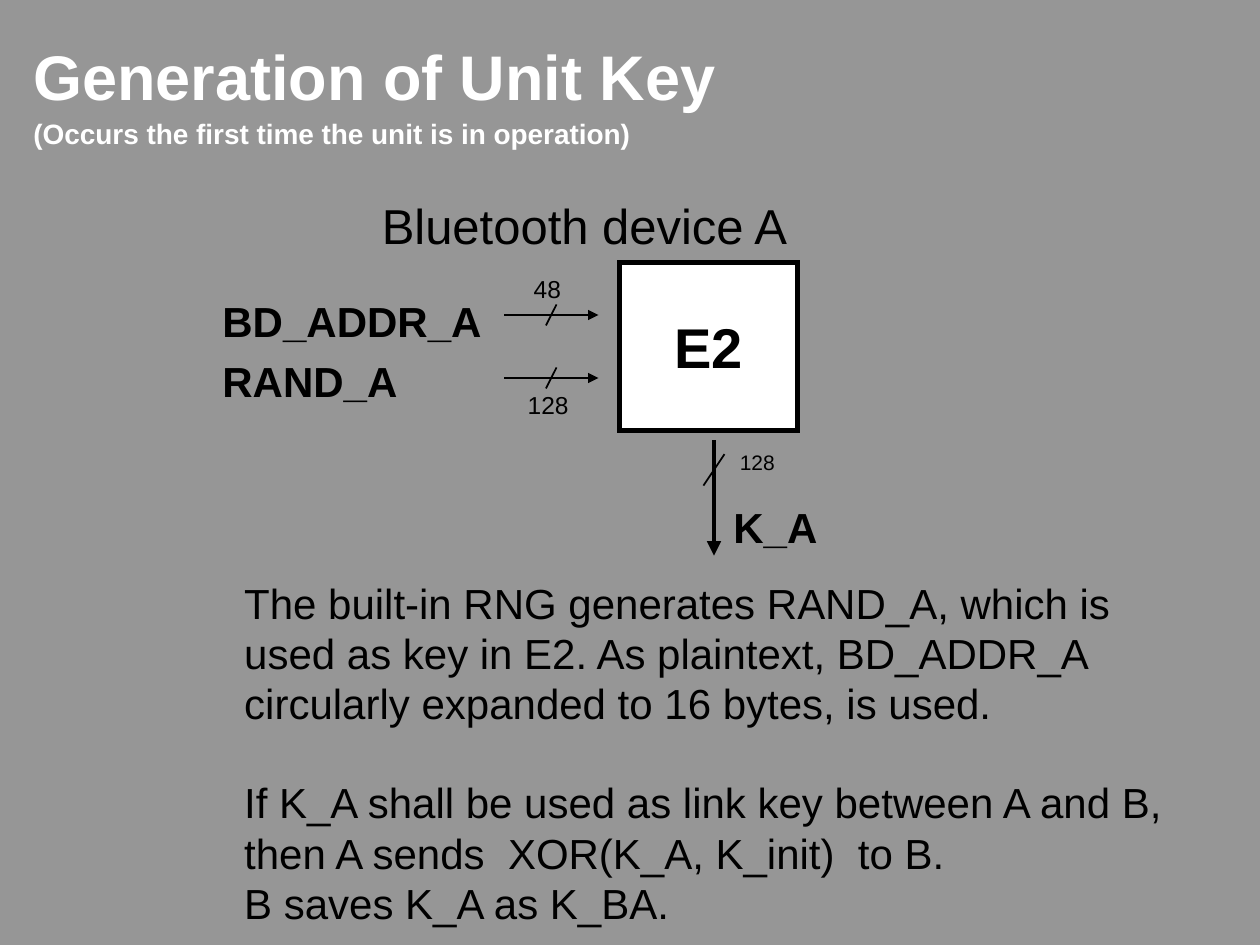
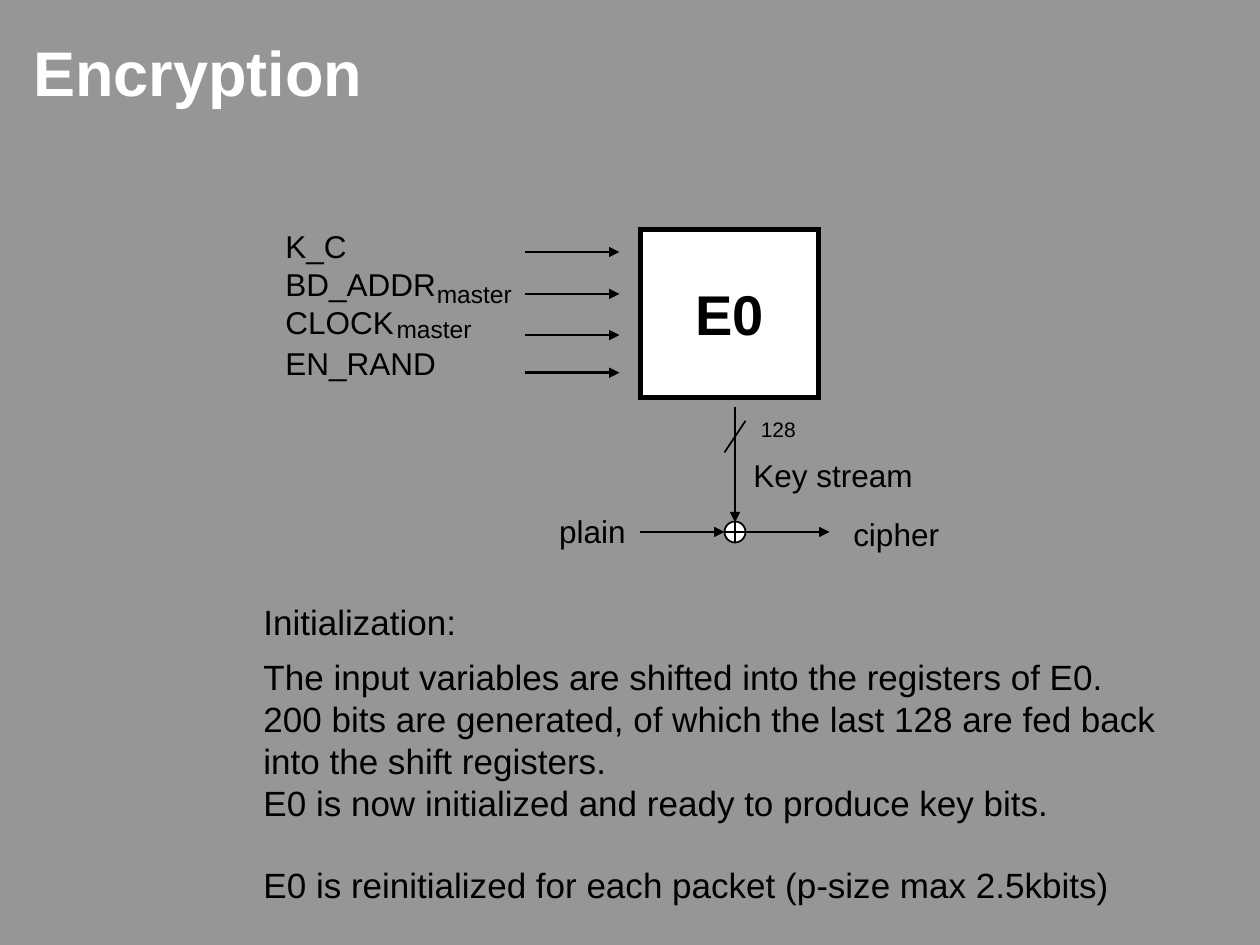
from lxml.etree import SubElement
from pptx import Presentation
from pptx.dml.color import RGBColor
from pptx.enum.shapes import MSO_CONNECTOR, MSO_SHAPE
from pptx.enum.text import MSO_ANCHOR, MSO_AUTO_SIZE, PP_ALIGN
from pptx.oxml.ns import qn
from pptx.util import Pt

GREY = RGBColor(0x96, 0x96, 0x96)
BLACK = RGBColor(0, 0, 0)
WHITE = RGBColor(0xFF, 0xFF, 0xFF)
FONT = "Arial"

# Paragraphs are (text, line spacing, space before in points).
UNIT_KEY_INPUTS = [("BD_ADDR_A", 1.4, 0), ("RAND_A", 1.2, 0)]
UNIT_KEY_NOTES = [
    ("The built-in RNG generates RAND_A, which is", 1, 0),
    ("used as key in E2. As plaintext, BD_ADDR_A", 1, 0),
    ("circularly expanded to 16 bytes, is used.", 1, 0),
    ("If K_A shall be used as link key between A and B,", 1, 27.6),
    ("then A sends  XOR(K_A, K_init)  to B.", 1, 0),
    ("B saves K_A as K_BA.", 1, 0),
]
ENCRYPTION_INPUTS = [("K_C", 1, 0), ("BD_ADDR", 1, 0), ("CLOCK", 1, 0), ("EN_RAND", 1.1, 0)]
ENCRYPTION_NOTES = [
    ("Initialization:", 1, 0),
    ("The input variables are shifted into the registers of E0.", 1.3, 0),
    ("200 bits are generated, of which the last 128 are fed back", 1, 0),
    ("into the shift registers.", 1, 0),
    ("E0 is now initialized and ready to produce key bits.", 1, 0),
    ("E0 is reinitialized for each packet (p-size max 2.5kbits)", 1, 23),
]

# Labels are (paragraphs, (left, top, width, height), size, bold, centred).
UNIT_KEY_LABELS = [
    (UNIT_KEY_INPUTS, (120, 153.5, 162, 82), 24, True, False),
    ("K_A", (412, 283, 62, 36), 24, True, False),
    ("Bluetooth device A", (210, 108, 248, 41), 28, False, True),
    ("48", (298, 152.5, 29.5, 24.5), 14, False, True),
    ("128", (294.5, 219, 37.5, 24.5), 14, False, True),
    (UNIT_KEY_NOTES, (132.5, 325.5, 543, 209), 24, False, False),
]
ENCRYPTION_LABELS = [
    (ENCRYPTION_INPUTS, (156, 126, 100, 96), 18, False, False),
    ("master", (242.5, 155.5, 57, 24.5), 14, False, False),
    ("master", (219.5, 175.5, 57, 24.5), 14, False, False),
    ("Key stream", (423.5, 257, 105, 29), 18, False, False),
    ("plain", (312.5, 289, 52.5, 29), 18, False, False),
    ("cipher", (480.5, 290.5, 63, 29), 18, False, False),
    (ENCRYPTION_NOTES, (143.5, 339, 524, 183), 20, False, False),
]

BLOCK_WIDTH, BLOCK_HEIGHT = 102, 96
INPUT_GAP, INPUT_LENGTH = 66, 54
OUTPUT_LENGTH = 66
ADDER_X, ADDER_Y, ADDER_SIZE = 420, 304, 12


def style(font, size, color=BLACK, bold=False):
    font.name = FONT
    font.size = Pt(size)
    font.bold = bold
    font.color.rgb = color


def new_slide(presentation, title, top, top_margin, subtitle=None):
    slide = presentation.slides.add_slide(presentation.slide_layouts[6])
    slide.background.fill.solid()
    slide.background.fill.fore_color.rgb = GREY
    frame = slide.shapes.add_textbox(Pt(12), Pt(top), Pt(594), Pt(53)).text_frame
    frame.word_wrap = True
    frame.margin_top = Pt(top_margin)
    paragraph = frame.paragraphs[0]
    paragraph.line_spacing = 1.1
    run = paragraph.add_run()
    run.text = title
    style(run.font, 36, WHITE, True)
    if subtitle:
        paragraph.add_line_break()
        run = paragraph.add_run()
        run.text = subtitle
        style(run.font, 16, WHITE, True)
    return slide


def add_label(slide, content, box, size, bold=False, centred=False):
    frame = slide.shapes.add_textbox(*map(Pt, box)).text_frame
    frame.word_wrap = True
    frame.auto_size = MSO_AUTO_SIZE.NONE
    frame.vertical_anchor = MSO_ANCHOR.MIDDLE
    frame.margin_right = 0
    if centred:
        frame.margin_left = 0
    paragraphs = [(content, 1, 0)] if isinstance(content, str) else content
    for index, (text, spacing, before) in enumerate(paragraphs):
        paragraph = frame.add_paragraph() if index else frame.paragraphs[0]
        paragraph.text = text
        paragraph.line_spacing = float(spacing)
        if before:
            paragraph.space_before = Pt(before)
        paragraph.alignment = PP_ALIGN.CENTER if centred else PP_ALIGN.LEFT
        style(paragraph.font, size, bold=bold)


def add_line(slide, start, end, width=1, arrow=False):
    line = slide.shapes.add_connector(MSO_CONNECTOR.STRAIGHT, *map(Pt, start + end))
    line.line.color.rgb = BLACK
    line.line.width = Pt(width)
    if arrow:
        SubElement(line.line._get_or_add_ln(), qn("a:tailEnd"), type="triangle")
    SubElement(line._element.spPr, qn("a:effectLst"))


def add_white_shape(slide, kind, box, line_width):
    shape = slide.shapes.add_shape(kind, *map(Pt, box))
    shape.shadow.inherit = False
    shape.fill.solid()
    shape.fill.fore_color.rgb = WHITE
    shape.line.color.rgb = BLACK
    shape.line.width = Pt(line_width)
    SubElement(shape.line._get_or_add_ln(), qn("a:miter"), lim="800000")
    return shape


def add_cipher_block(slide, name, left, top, input_rows, output_width):
    """Draw the block, an arrow for each input row and the 128-bit output."""
    box = (left, top, BLOCK_WIDTH, BLOCK_HEIGHT)
    frame = add_white_shape(slide, MSO_SHAPE.RECTANGLE, box, 2.75).text_frame
    frame.word_wrap = False
    frame.vertical_anchor = MSO_ANCHOR.MIDDLE
    paragraph = frame.paragraphs[0]
    paragraph.text = name
    paragraph.alignment = PP_ALIGN.CENTER
    style(paragraph.font, 32, bold=True)

    start = left - INPUT_GAP
    for row in input_rows:
        add_line(slide, (start, row), (start + INPUT_LENGTH, row), 1.5, True)

    x, y = left + 54, top + 101.5
    add_line(slide, (x, y), (x, y + OUTPUT_LENGTH), output_width, True)
    add_line(slide, (x + 6, y + 8), (x - 6, y + 26))
    add_label(slide, "128", (x + 7.5, y + 2, 34.5, 21.5), 12, centred=True)


def build_unit_key(presentation):
    slide = new_slide(presentation, "Generation of Unit Key", 17, 0,
                      "(Occurs the first time the unit is in operation)")
    rows = (180, 216)
    add_cipher_block(slide, "E2", 354, 150, rows, 2.75)
    for row in rows:
        add_line(slide, (318, row - 6), (312, row + 6))
    for label in UNIT_KEY_LABELS:
        add_label(slide, *label)


def build_encryption(presentation):
    slide = new_slide(presentation, "Encryption", 12, 3)
    add_cipher_block(slide, "E0", 366, 131, (144, 168, 191.5, 213), 1.5)
    radius = ADDER_SIZE / 2
    add_white_shape(slide, MSO_SHAPE.FLOWCHART_OR,
                    (ADDER_X - radius, ADDER_Y - radius, ADDER_SIZE, ADDER_SIZE), 1)
    for start in (ADDER_X - radius - 48, ADDER_X + radius):
        add_line(slide, (start, ADDER_Y), (start + 48, ADDER_Y), 1, True)
    for label in ENCRYPTION_LABELS:
        add_label(slide, *label)


def main():
    presentation = Presentation()
    presentation.slide_width = Pt(720)
    presentation.slide_height = Pt(540)
    build_unit_key(presentation)
    build_encryption(presentation)
    presentation.save("out.pptx")


if __name__ == "__main__":
    main()
